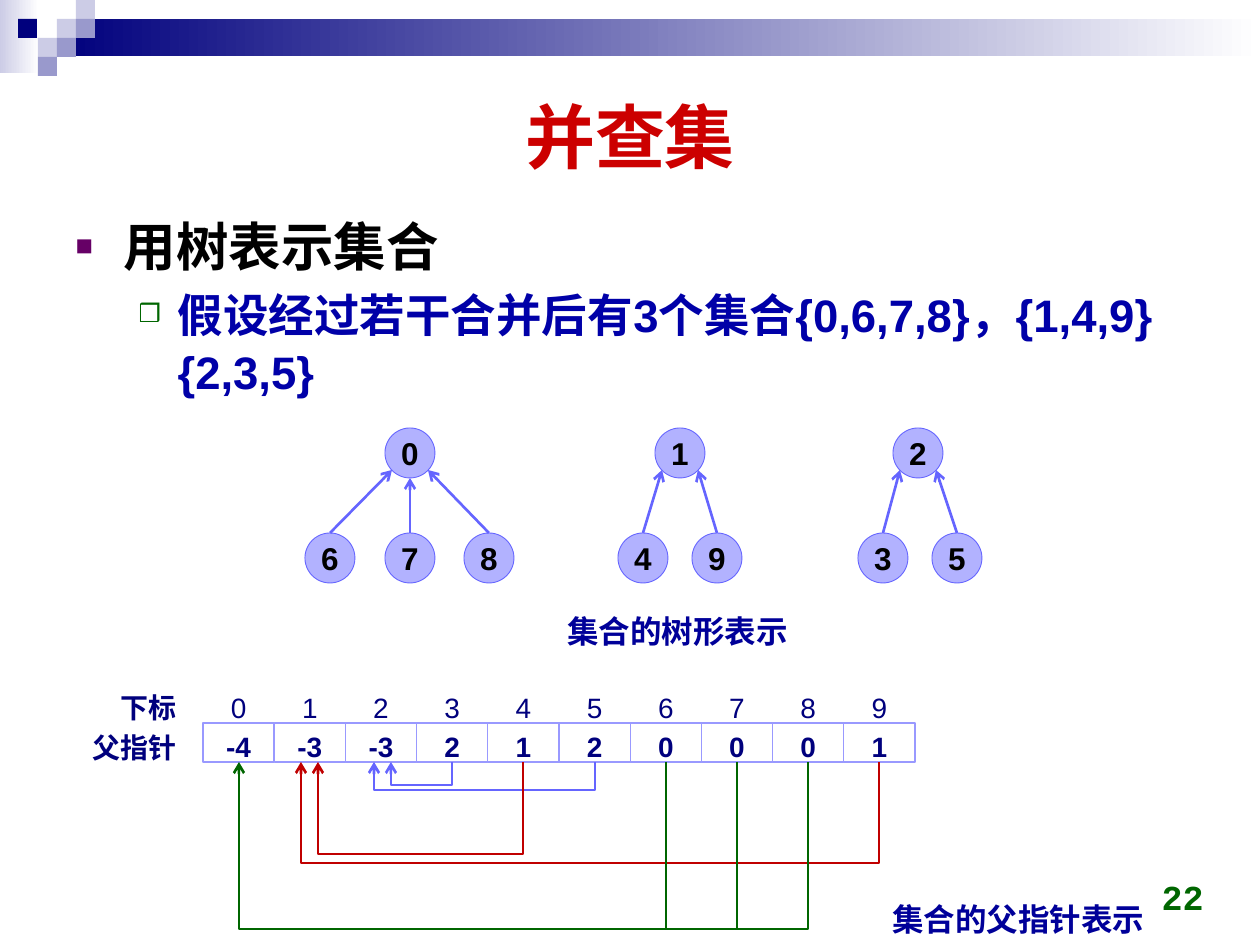
from lxml import etree
from pptx import Presentation, util as u
from pptx.dml.color import RGBColor
from pptx.enum import shapes, text
from pptx.oxml.ns import qn

PX = 914400 / 126
SHAPE, ALIGN, ANCHOR = shapes.MSO_SHAPE, text.PP_ALIGN, text.MSO_ANCHOR
NAVY, BLUE, GREEN, RED = "00007D", "6565FF", "006600", "C00000"

BANDS = [((0, 0, 39, 73), "CCCCE6"), ((57, 19, 1203, 37), NAVY)]
SQUARE = 19
SQUARES = [(57, 19, "CCCCE6"), (76, 0, "CCCCE6"), (76, 19, "9999CC"), (38, 38, "CCCCE6"),
           (18, 19, NAVY), (57, 38, "9999CC"), (38, 57, "9999CC")]

TITLE = "并查集"
BULLETS = [
    dict(runs=["用树表示集合"], size=30, color="000000", level=0,
         margin=48, indent=-48, char="■", bullet="660066"),
    dict(runs=["假设经过若干合并后有", "3", "个集合", "{0,6,7,8}", "，", "{1,4,9} {2,3,5}"],
         size=26, color="0000A8", level=1,
         margin=102, indent=-39, char="❒", bullet=GREEN),
]

NODE, ROOT_TOP, CHILD_TOP = 50, 428, 533
TREES = [("0", 410, [("6", 330), ("7", 410), ("8", 489)]),
         ("1", 680, [("4", 643), ("9", 717)]),
         ("2", 918, [("3", 883), ("5", 957)])]

CAPTIONS = [("集合的树形表示", (555, 606, 249, 50)), ("集合的父指针表示", (880, 894, 281, 50))]

PARENTS = [-4, -3, -3, 2, 1, 2, 0, 0, 0, 1]
ROW_LEFT, PITCH, CELL_H, INDEX_TOP, CELL_TOP = 203, 71.2, 39, 684, 723
ROW_LABELS = [("下标", INDEX_TOP), ("父指针", CELL_TOP + 1)]
LABEL_LEFT, LABEL_W, ROW_INSET = 60, 129, 7
CELL_BOTTOM = CELL_TOP + CELL_H
ROUTES = [(3, 391, 785, BLUE), (5, 374, 790, BLUE), (4, 318, 854, RED),
          (9, 301, 863, RED), (8, 239, 929, GREEN)]
GREEN_DROPS, GREEN_BUS = [6, 7], 929


def px(v):
    return u.Emu(round(v * PX))


def rgb(value):
    return RGBColor.from_string(value)


def add_run(p, words, size, color, bold=True, font="Arial"):
    r = p.add_run()
    r.text = words
    r.font.size, r.font.bold, r.font.name = u.Pt(size), bold, font
    r.font.color.rgb = rgb(color)


def place(sp, box):
    sp.left, sp.top, sp.width, sp.height = map(px, box)


def write(sp, words, size, color, align, anchor=ANCHOR.TOP, top=6, **font):
    tf = sp.text_frame
    tf.word_wrap, tf.vertical_anchor = False, anchor
    tf.margin_top = px(top)
    p = tf.paragraphs[0]
    p.alignment = align
    add_run(p, words, size, color, **font)


def add_label(box, *args, **kwargs):
    write(s.shapes.add_textbox(*map(px, box)), *args, **kwargs)


def add_box(kind, box, fill=None, line=None, width=0.5):
    sp = s.shapes.add_shape(kind, *map(px, box))
    sp.shadow.inherit = False
    if fill:
        sp.fill.solid()
        sp.fill.fore_color.rgb = rgb(fill)
    else:
        sp.fill.background()
    if line:
        sp.line.color.rgb, sp.line.width = rgb(line), u.Pt(width)
    else:
        sp.line.fill.background()
    return sp


def style_line(sp, color, arrow):
    sp.line.color.rgb, sp.line.width = rgb(color), u.Pt(1.5)
    if arrow:
        etree.SubElement(sp.line._get_or_add_ln(), qn("a:tailEnd"), type="arrow")


def add_line(start, end, color, arrow=False):
    c = s.shapes.add_connector(shapes.MSO_CONNECTOR.STRAIGHT, *map(px, start + end))
    style_line(c, color, arrow)
    etree.SubElement(c._element.spPr, qn("a:effectLst"))


def add_route(points, color):
    first, *rest = [(px(x), px(y)) for x, y in points]
    fb = s.shapes.build_freeform(*first)
    fb.add_line_segments(rest, close=False)
    sp = fb.convert_to_shape()
    sp.shadow.inherit = False
    sp.fill.background()
    style_line(sp, color, True)


def add_bullet(p, item):
    p.level, p.line_spacing, p.space_before = item["level"], 1.05, u.Pt(item["size"] * 0.15)
    pPr = p._p.get_or_add_pPr()
    pPr.set("marL", str(px(item["margin"])))
    pPr.set("indent", str(px(item["indent"])))
    clr = etree.SubElement(pPr, qn("a:buClr"))
    etree.SubElement(clr, qn("a:srgbClr"), val=item["bullet"])
    etree.SubElement(pPr, qn("a:buSzPct"), val="55000")
    etree.SubElement(pPr, qn("a:buFont"), typeface="Arial")
    etree.SubElement(pPr, qn("a:buChar"), char=item["char"])
    for words in item["runs"]:
        add_run(p, words, item["size"], item["color"])


def column_center(i):
    return round(ROW_LEFT + PITCH * (i + 0.5))


prs = Presentation()
prs.slide_width, prs.slide_height = px(1260), px(945)
s = prs.slides.add_slide(prs.slide_layouts[1])

for box, start in BANDS:
    fill = add_box(SHAPE.RECTANGLE, box, start).fill
    fill.gradient()
    fill.gradient_angle = 0
    for stop, color in zip(fill.gradient_stops, (start, "FFFFFF")):
        stop.color.rgb = rgb(color)
for x, y, color in SQUARES:
    add_box(SHAPE.RECTANGLE, (x, y, SQUARE, SQUARE), color)

title, body = s.shapes.title, s.placeholders[1]
place(title, (63, 63, 1134, 146))
write(title, TITLE, 40, "CC0000", ALIGN.CENTER, ANCHOR.MIDDLE)
title.text_frame.word_wrap = True
place(body, (63, 205, 1134, 655))
tf = body.text_frame
tf.auto_size = text.MSO_AUTO_SIZE.NONE
for i, item in enumerate(BULLETS):
    add_bullet(tf.add_paragraph() if i else tf.paragraphs[0], item)

add_label((922, 861, 294, 63), "22", 20, GREEN, ALIGN.RIGHT, ANCHOR.BOTTOM, font="Courier New")

for root, root_x, children in TREES:
    for name, x, top in [(root, root_x, ROOT_TOP)] + [(n, x, CHILD_TOP) for n, x in children]:
        node = add_box(SHAPE.OVAL, (x - NODE / 2, top, NODE, NODE), "B2B2FF", BLUE)
        write(node, name, 18, "000000", ALIGN.CENTER, ANCHOR.MIDDLE)
    for _, x in children:
        side = (x > root_x) - (x < root_x)
        end = (root_x + 18 * side, ROOT_TOP + (42 if side else NODE))
        add_line((x, CHILD_TOP), end, BLUE, True)

for words, box in CAPTIONS:
    add_label(box, words, 18, "000099", ALIGN.LEFT)

for words, top in ROW_LABELS:
    add_label((LABEL_LEFT, top, LABEL_W, CELL_H), words, 16, NAVY, ALIGN.RIGHT, top=ROW_INSET)
for i, parent in enumerate(PARENTS):
    x = ROW_LEFT + PITCH * i
    add_label((x, INDEX_TOP, PITCH, CELL_H), str(i), 16, NAVY, ALIGN.CENTER,
              top=ROW_INSET, bold=False)
    cell = add_box(SHAPE.RECTANGLE, (x, CELL_TOP, PITCH, CELL_H), line="9999FF", width=0.75)
    write(cell, str(parent), 16, NAVY, ALIGN.CENTER, top=ROW_INSET)

for i, target, bus, color in ROUTES:
    x = column_center(i)
    add_route([(x, CELL_BOTTOM), (x, bus), (target, bus), (target, CELL_BOTTOM)], color)
for i in GREEN_DROPS:
    x = column_center(i)
    add_line((x, CELL_BOTTOM), (x, GREEN_BUS), GREEN)

prs.save("out.pptx")
